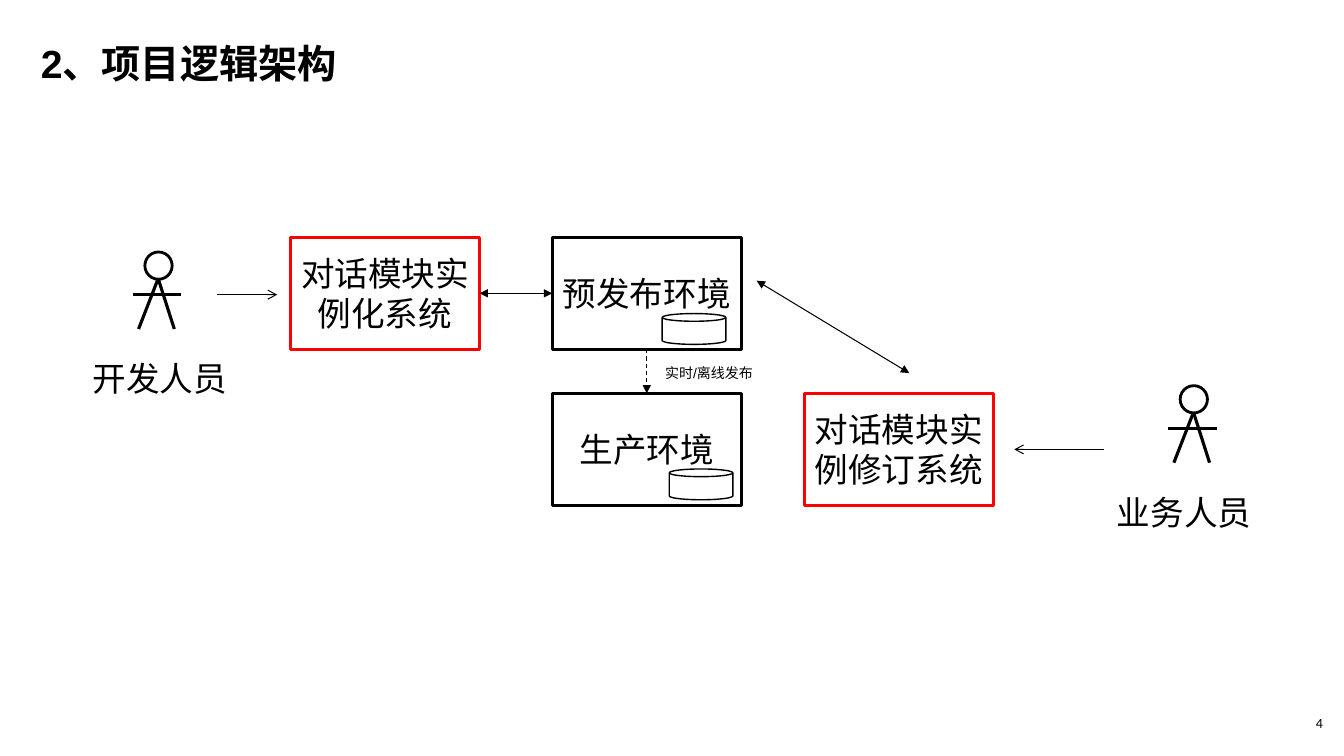
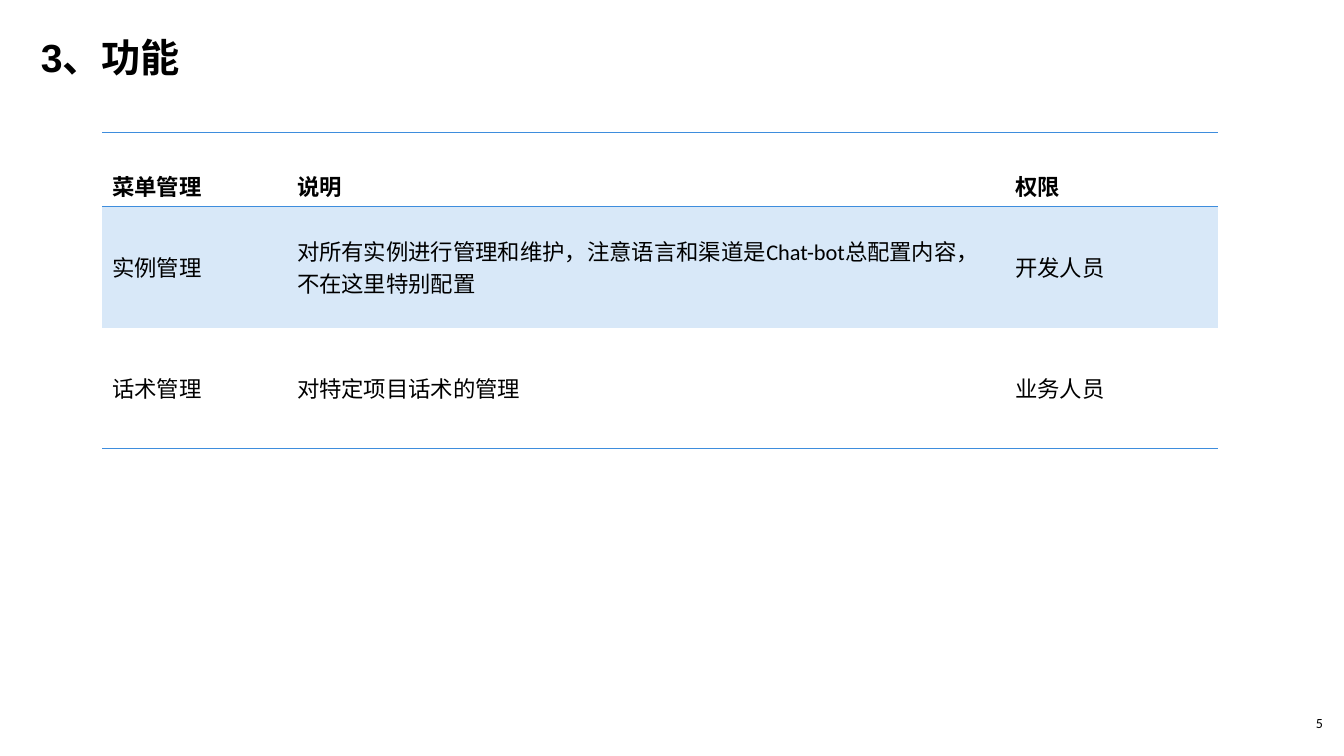
"""Build two slides: a logical architecture diagram and a function table."""
from pptx import Presentation
from pptx.dml.color import RGBColor
from pptx.enum.dml import MSO_LINE
from pptx.enum.shapes import MSO_CONNECTOR, MSO_SHAPE
from pptx.enum.text import MSO_ANCHOR, MSO_AUTO_SIZE, PP_ALIGN
from pptx.oxml.ns import qn
from pptx.oxml.xmlchemy import OxmlElement
from pptx.util import Pt

BLACK = "000000"
WHITE = "FFFFFF"
RED = "FF0000"
BLUE = "3E8DDD"
PALE_BLUE = "D8E8F8"
PLAIN_TABLE_STYLE = "{2D5ABB26-0587-4C30-8999-92F81FD0307C}"
color = RGBColor.from_string


def write(frame, text, size=24, font="Calibri", bold=False, align=PP_ALIGN.LEFT,
          anchor=MSO_ANCHOR.TOP, wrap=True, spacing=None):
    frame.word_wrap = wrap
    frame.vertical_anchor = anchor
    paragraph = frame.paragraphs[0]
    paragraph.alignment = align
    paragraph.line_spacing = spacing
    run = paragraph.add_run()
    run.text = text
    run.font.size = Pt(size)
    run.font.name = font
    run.font.bold = bold
    run.font.color.rgb = color(BLACK)


def draw_line(shapes, begin, end, width=0.75, head=None, tail=None, dash=None):
    connector = shapes.add_connector(
        MSO_CONNECTOR.STRAIGHT, *(Pt(value) for value in begin + end))
    connector.line.color.rgb = color(BLACK)
    connector.line.width = Pt(width)
    connector.line.dash_style = dash
    properties = connector.element.spPr
    for tag, kind in (("a:headEnd", head), ("a:tailEnd", tail)):
        if kind:
            arrowhead = OxmlElement(tag)
            arrowhead.set("type", kind)
            properties.find(qn("a:ln")).append(arrowhead)
    properties.append(OxmlElement("a:effectLst"))
    return connector


presentation = Presentation()
presentation.slide_width = Pt(960)
presentation.slide_height = Pt(540)

slides = []
for number, title_text, title_top in ((4, "2、项目逻辑架构", 24.5), (5, "3、功能", 20)):
    slide = presentation.slides.add_slide(presentation.slide_layouts[5])
    slides.append(slide)
    title = slide.shapes.title
    title.left, title.top, title.width, title.height = Pt(22), Pt(title_top), Pt(326), Pt(54)
    title.text_frame.auto_size = MSO_AUTO_SIZE.NONE
    write(title.text_frame, title_text, size=28, font="Arial", bold=True)
    page_number = slide.shapes.add_textbox(Pt(925), Pt(503), Pt(35), Pt(19.5))
    frame = page_number.text_frame
    frame.margin_left = frame.margin_right = frame.margin_top = frame.margin_bottom = 0
    write(frame, str(number), size=10, align=PP_ALIGN.CENTER, anchor=MSO_ANCHOR.BOTTOM)

architecture, functions = slides
shapes = architecture.shapes

for role, left, top, label_left in (("开发人员", 103.5, 180, 57), ("业务人员", 843, 275.5, 788.5)):
    person = shapes.add_group_shape()
    head = person.shapes.add_shape(MSO_SHAPE.OVAL, Pt(left), Pt(top), Pt(19.5), Pt(19.5))
    head.shadow.inherit = False
    head.fill.background()
    head.line.color.rgb = color(BLACK)
    head.line.width = Pt(2)
    neck = (left + 9.5, top + 19)
    draw_line(person.shapes, (left - 8.5, top + 30.5), (left + 26, top + 30.5), width=2.25)
    for foot in (-4.5, 21):
        draw_line(person.shapes, neck, (left + foot, top + 55), width=2.25)
    label = shapes.add_textbox(Pt(label_left), Pt(top + 72), Pt(114.5), Pt(36))
    write(label.text_frame, role, font="Arial", align=PP_ALIGN.CENTER)

boxes = []
for text, left, top, outline in (
        ("对话模块实例化系统", 207.5, 169.5, RED),
        ("预发布环境", 394.5, 169.5, BLACK),
        ("生产环境", 394.5, 281, BLACK),
        ("对话模块实例修订系统", 574.5, 281, RED)):
    box = shapes.add_shape(MSO_SHAPE.RECTANGLE, Pt(left), Pt(top), Pt(135), Pt(80))
    box.shadow.inherit = False
    box.fill.background()
    box.line.color.rgb = color(outline)
    box.line.width = Pt(2)
    write(box.text_frame, text, align=PP_ALIGN.CENTER, anchor=MSO_ANCHOR.MIDDLE)
    boxes.append(box)
instance_system, staging, production, revision_system = boxes

exchange = draw_line(shapes, (342.5, 209.5), (394.5, 209.5), head="triangle", tail="triangle")
exchange.begin_connect(instance_system, 3)
exchange.end_connect(staging, 1)
release = draw_line(shapes, (462, 249.5), (462, 281), tail="triangle", dash=MSO_LINE.DASH)
release.begin_connect(staging, 2)
release.end_connect(production, 0)
draw_line(shapes, (155, 210.5), (198, 210.5), tail="arrow")
draw_line(shapes, (788.5, 321), (724.5, 321), tail="arrow")
draw_line(shapes, (540.5, 200.5), (649.5, 266.5), head="triangle", tail="triangle")

for left, top in ((473, 224), (478, 335)):
    database = shapes.add_shape(MSO_SHAPE.CAN, Pt(left), Pt(top), Pt(45.5), Pt(22))
    database.shadow.inherit = False
    database.fill.solid()
    database.fill.fore_color.rgb = color(WHITE)
    database.line.color.rgb = color(BLACK)
    database.line.width = Pt(1)

release_label = shapes.add_textbox(Pt(468), Pt(257), Pt(85), Pt(19.5))
write(release_label.text_frame, "实时/离线发布", size=10, font="Arial", wrap=False)

rows = (
    ("菜单管理", "说明", "权限"),
    ("实例管理", "对所有实例进行管理和维护，注意语言和渠道是Chat-bot总配置内容，不在这里特别配置", "开发人员"),
    ("话术管理", "对特定项目话术的管理", "业务人员"),
)
column_widths = (132, 513, 152)
row_heights = (53, 86.5, 86.5)
table_frame = functions.shapes.add_table(
    len(rows), len(column_widths), Pt(73), Pt(94.5), Pt(sum(column_widths)), Pt(sum(row_heights)))
table = table_frame.table
table.horz_banding = False
table_frame.element.find(".//" + qn("a:tableStyleId")).text = PLAIN_TABLE_STYLE
for column, width in zip(table.columns, column_widths):
    column.width = Pt(width)

borders = (("a:lnT", "a:lnB"), (), ("a:lnB",))
for row_index, texts in enumerate(rows):
    table.rows[row_index].height = Pt(row_heights[row_index])
    is_header = row_index == 0
    for column_index, text in enumerate(texts):
        cell = table.cell(row_index, column_index)
        write(cell.text_frame, text, size=16, bold=is_header, spacing=2 if is_header else None)
        cell.vertical_anchor = MSO_ANCHOR.MIDDLE
        if row_index == 1:
            cell.fill.solid()
            cell.fill.fore_color.rgb = color(PALE_BLUE)
        else:
            cell.fill.background()
        cell_properties = cell.text_frame.element.getparent().get_or_add_tcPr() \
            if hasattr(cell.text_frame, "element") else cell._tc.get_or_add_tcPr()
        for position, tag in enumerate(borders[row_index]):
            border = OxmlElement(tag)
            border.set("w", str(Pt(1)))
            fill = OxmlElement("a:solidFill")
            border_color = OxmlElement("a:srgbClr")
            border_color.set("val", BLUE)
            fill.append(border_color)
            border.append(fill)
            cell_properties.insert(position, border)

presentation.save("out.pptx")
